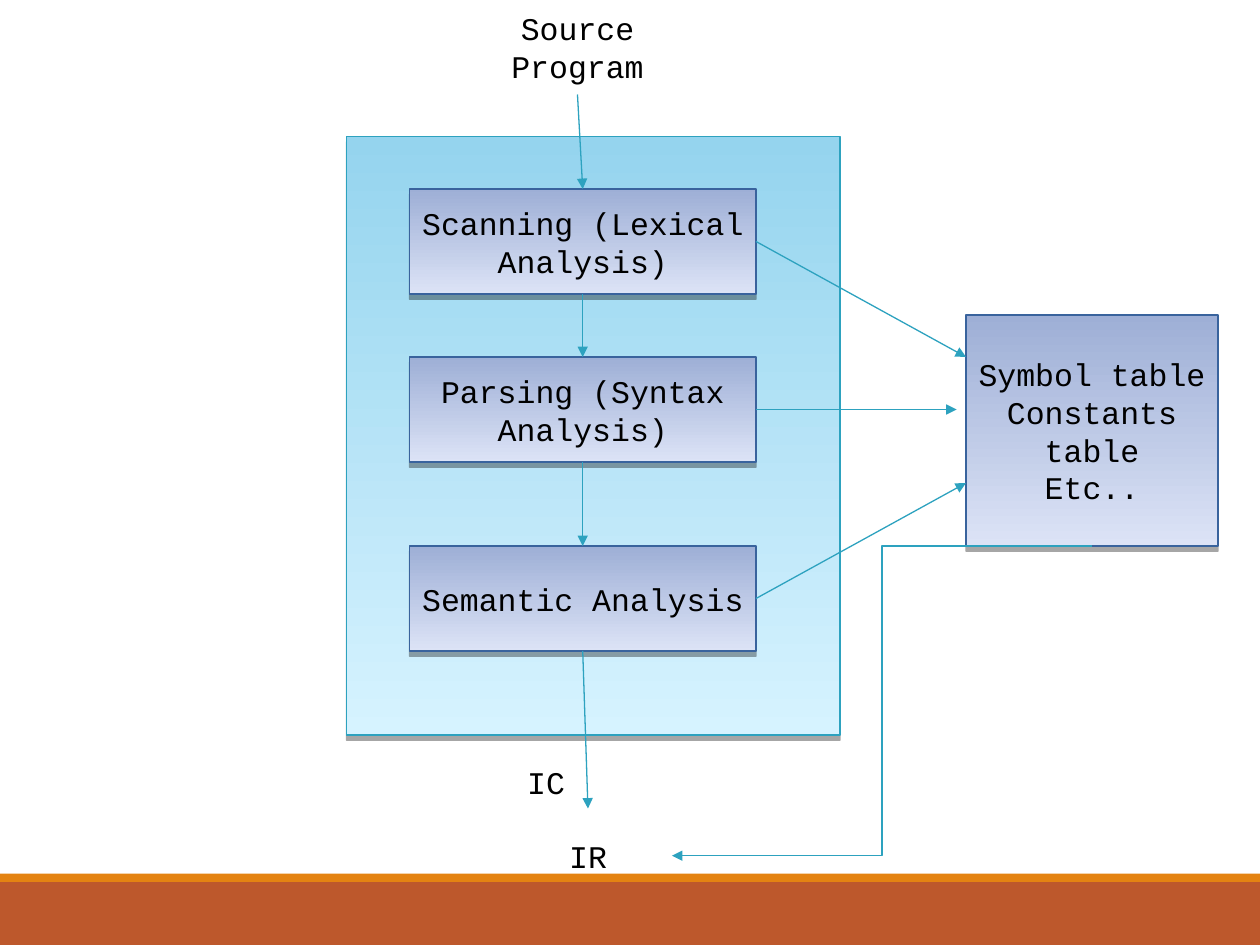
"""Build a slide showing the front end of a compiler and its tables."""
from lxml.etree import SubElement
from pptx import Presentation
from pptx.dml.color import RGBColor
from pptx.enum.shapes import MSO_CONNECTOR, MSO_SHAPE
from pptx.enum.text import MSO_ANCHOR, PP_ALIGN
from pptx.oxml.ns import qn
from pptx.util import Pt

PX = 7620
WIDTH, HEIGHT = 1200, 900
FONT = "Courier New"
BLACK = RGBColor(0x00, 0x00, 0x00)
RUST = RGBColor(0xBD, 0x58, 0x2C)
ORANGE = RGBColor(0xE4, 0x83, 0x12)
TEAL = RGBColor(0x2D, 0xA2, 0xBF)
NAVY = RGBColor(0x39, 0x63, 0x9D)
SKY = (RGBColor(0xD6, 0xF3, 0xFF), RGBColor(0x95, 0xD4, 0xEE))
PERIWINKLE = (RGBColor(0xDC, 0xE3, 0xF6), RGBColor(0x9E, 0xAF, 0xD6))


def emu(*lengths):
    """Turn px lengths into EMU."""
    return [length * PX for length in lengths]


def write(frame, text):
    """Put centred black text in a frame, one paragraph per line."""
    frame.text = text
    frame.word_wrap = True
    frame.vertical_anchor = MSO_ANCHOR.MIDDLE
    for paragraph in frame.paragraphs:
        paragraph.alignment = PP_ALIGN.CENTER
        paragraph.font.name = FONT
        paragraph.font.size = Pt(18)
        paragraph.font.color.rgb = BLACK


def add_label(slide, left, top, text):
    """Place a plain label."""
    label = slide.shapes.add_textbox(*emu(left, top, 160, 90))
    write(label.text_frame, text)


def add_bar(slide, left, top, width, height, colour):
    """Place a flat footer bar."""
    bar = slide.shapes.add_shape(MSO_SHAPE.RECTANGLE, *emu(left, top, width, height))
    bar.shadow.inherit = False
    bar.fill.solid()
    bar.fill.fore_color.rgb = colour
    bar.line.fill.background()


def add_block(slide, box, shades, outline, text=""):
    """Place a shaded rectangle with a drop shadow, light at the bottom."""
    block = slide.shapes.add_shape(MSO_SHAPE.RECTANGLE, *emu(*box))
    block.fill.gradient()
    block.fill.gradient_angle = 90
    for stop, shade in zip(block.fill.gradient_stops, shades):
        stop.color.rgb = shade
    block.line.color.rgb = outline
    block.line.width = Pt(0.75)
    block.shadow.inherit = False
    effects = block._element.spPr.find(qn("a:effectLst"))
    shadow = SubElement(effects, qn("a:outerShdw"), blurRad="0",
                        dist=str(Pt(3)), dir="5400000", rotWithShape="0")
    colour = SubElement(shadow, qn("a:srgbClr"), val=str(BLACK))
    SubElement(colour, qn("a:alpha"), val="35000")
    if text:
        write(block.text_frame, text)


def add_arrow(slide, start, end, kind=MSO_CONNECTOR.STRAIGHT):
    """Join two points with a teal arrow."""
    arrow = slide.shapes.add_connector(kind, *emu(*start, *end))
    arrow.line.color.rgb = TEAL
    arrow.line.width = Pt(0.75)
    SubElement(arrow.line._get_or_add_ln(), qn("a:tailEnd"), type="triangle")
    SubElement(arrow._element.spPr, qn("a:effectLst"))


def add_footer(slide, left, top, width, height):
    """Place the orange strip and the rust band below it."""
    strip = 8
    add_bar(slide, left, top + strip, width, height - strip, RUST)
    add_bar(slide, left, top, width, strip, ORANGE)


def add_phases(slide, left, top, width, height):
    """Place the panel of analysis phases with its input and outputs."""
    add_block(slide, (left, top, width, height), SKY, TEAL)
    phase_left, phase_width, phase_height = left + 60, 330, 100
    phases = {"Scanning (Lexical Analysis)": top + 50,
              "Parsing (Syntax Analysis)": top + 210,
              "Semantic Analysis": top + 390}
    for phase, phase_top in phases.items():
        add_block(slide, (phase_left, phase_top, phase_width, phase_height),
                  PERIWINKLE, NAVY, phase)
    add_label(slide, left + 140, top - 130, "Source Program")
    add_label(slide, left + 110, top + height, "IC")
    add_label(slide, left + 150, top + height + 70, "IR")

    middle = phase_left + phase_width // 2
    tops = list(phases.values())
    starts = [(left + 220, top - 40)] + [(middle, y + phase_height) for y in tops]
    ends = [(middle, y) for y in tops] + [(left + 230, top + height + 70)]
    for start, end in zip(starts, ends):
        add_arrow(slide, start, end)


def add_tables(slide, left, top, width, height):
    """Place the tables block with the arrows into it and out to the IR."""
    add_block(slide, (left, top, width, height), PERIWINKLE, NAVY,
              "Symbol table\nConstants table\nEtc..")
    phase_right = left - 200
    links = [(-70, 0, 40), (90, -9, 90), (270, 0, 160)]
    for start_y, end_x, end_y in links:
        add_arrow(slide, (phase_right, top + start_y), (left + end_x, top + end_y))
    add_arrow(slide, (left + width // 2, top + height),
              (left - 280, top + height + 295), MSO_CONNECTOR.ELBOW)


def main():
    """Build and save the slide."""
    deck = Presentation()
    deck.slide_width, deck.slide_height = emu(WIDTH, HEIGHT)
    slide = deck.slides.add_slide(deck.slide_layouts[6])
    add_footer(slide, 0, 832, WIDTH, 68)
    add_phases(slide, 330, 130, 470, 570)
    add_tables(slide, 920, 300, 240, 220)
    deck.save("out.pptx")


if __name__ == "__main__":
    main()
